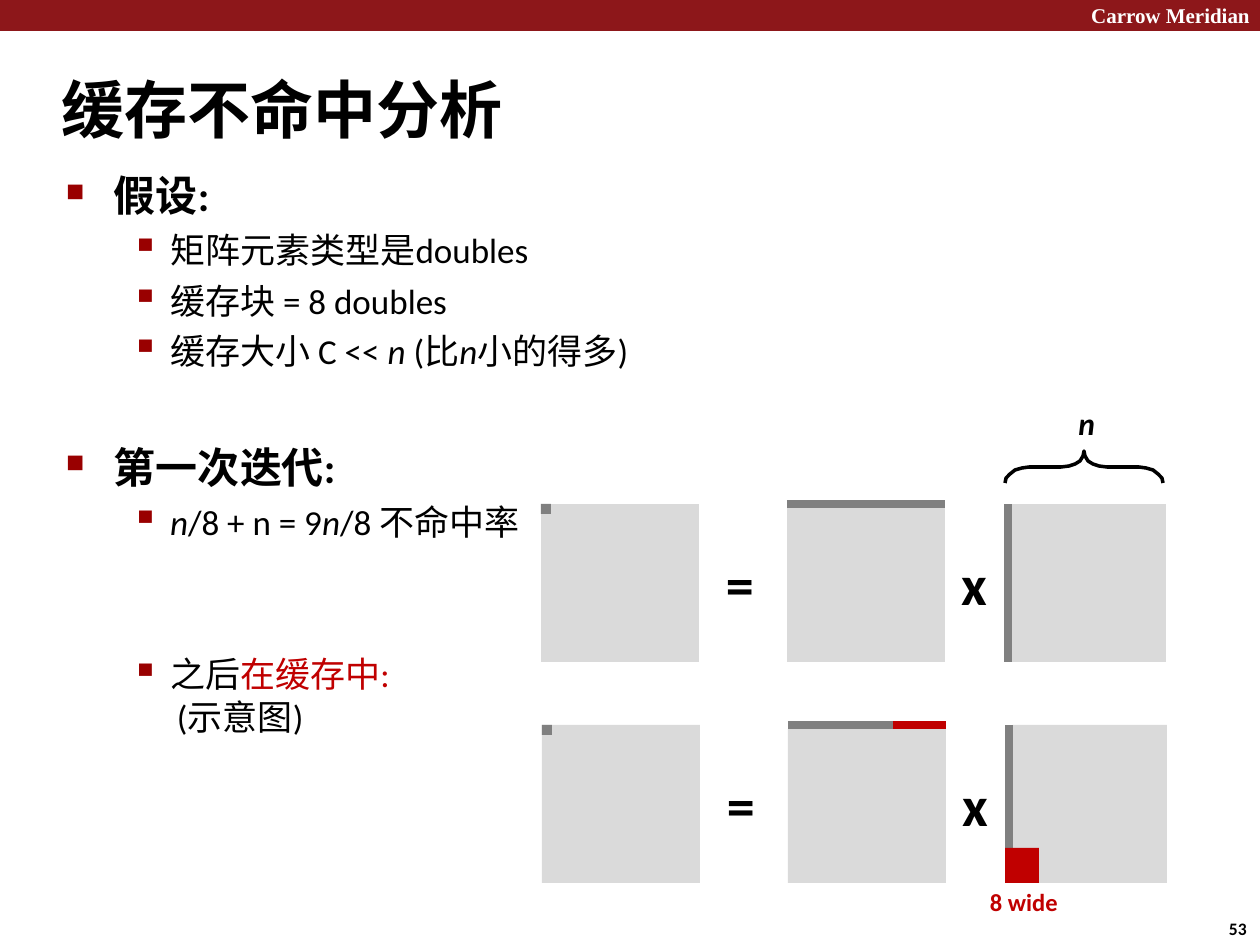
import pptx
import pptx.dml.color
import pptx.enum.shapes
import pptx.enum.text
import pptx.oxml.ns
import pptx.util
from lxml import etree

PX_PER_INCH = 126
COLORS = {"band": "8D171A", "white": "FFFFFF", "ink": "000000", "bullet": "990000",
          "matrix": "DADADA", "used": "808080", "cached": "C00000"}
ALIGN = pptx.enum.text.PP_ALIGN
SHAPES = pptx.enum.shapes


def px(length):
    return pptx.util.Emu(round(length * pptx.util.Inches(1) / PX_PER_INCH))


def rgb(name):
    return pptx.dml.color.RGBColor.from_string(COLORS[name])


def add_rect(slide, left, top, width, height, color):
    rect = slide.shapes.add_shape(SHAPES.MSO_SHAPE.RECTANGLE,
                                  px(left), px(top), px(width), px(height))
    rect.shadow.inherit = False
    rect.fill.solid()
    rect.fill.fore_color.rgb = rgb(color)
    rect.line.fill.background()


def add_strip(slide, start, end, color):
    strip = slide.shapes.add_connector(SHAPES.MSO_CONNECTOR.STRAIGHT,
                                       *map(px, start + end))
    strip.line.color.rgb = rgb(color)
    strip.line.width = pptx.util.Pt(4.5)
    etree.SubElement(strip._element.spPr, pptx.oxml.ns.qn("a:effectLst"))


def add_frame(slide, left, top, width, height):
    frame = slide.shapes.add_textbox(px(left), px(top), px(width), px(height)).text_frame
    frame.word_wrap = True
    frame.margin_left = frame.margin_right = frame.margin_top = frame.margin_bottom = 0
    return frame


def style(paragraph, size, bold=False, color="ink", font="Calibri"):
    paragraph.font.name = font
    paragraph.font.size = pptx.util.Pt(size)
    paragraph.font.bold = bold
    paragraph.font.color.rgb = rgb(color)


def add_label(slide, box, text, size, color="ink", font="Calibri", align=ALIGN.LEFT):
    paragraph = add_frame(slide, *box).paragraphs[0]
    paragraph.text = text
    paragraph.alignment = align
    style(paragraph, size, True, color, font)


def next_paragraph(frame):
    first = frame.paragraphs[0]
    return frame.add_paragraph() if first.runs else first


def set_indent(paragraph, margin, hang=0):
    properties = paragraph._p.get_or_add_pPr()
    properties.set("marL", str(px(margin)))
    properties.set("indent", str(-px(hang)))


def set_bullet(paragraph, char, percent):
    properties = paragraph._p.get_or_add_pPr()
    color = etree.SubElement(properties, pptx.oxml.ns.qn("a:buClr"))
    etree.SubElement(color, pptx.oxml.ns.qn("a:srgbClr"), val=COLORS["bullet"])
    etree.SubElement(properties, pptx.oxml.ns.qn("a:buSzPct"), val=str(percent * 1000))
    etree.SubElement(properties, pptx.oxml.ns.qn("a:buChar"), char=char)


def add_heading(frame, text, line_height=None):
    heading = next_paragraph(frame)
    heading.add_run().text = text
    if line_height:
        heading.line_spacing = pptx.util.Pt(line_height)
    set_indent(heading, 49, 48)
    set_bullet(heading, "■", 60)
    style(heading, 24, True)


def add_item(frame, parts, margin=105, space=4.8):
    """Bulleted item; parts equal to "n" are set in italics."""
    item = next_paragraph(frame)
    item.space_before = pptx.util.Pt(space)
    for part in parts:
        run = item.add_run()
        run.text = part
        if part.strip() == "n":
            run.font.italic = True
    set_indent(item, margin, 39)
    set_bullet(item, "▪", 110)
    style(item, 20)
    return item


def add_header(slide, width, height):
    add_rect(slide, 0, 0, width, height, "band")
    add_label(slide, (width - 170, 3, 160, 28), "Carrow Meridian", 12,
              "white", "Times New Roman", ALIGN.RIGHT)


def add_outline(slide, left, top, width, height):
    frame = add_frame(slide, left, top, width, height)
    add_heading(frame, "假设:")
    add_item(frame, ["矩阵元素类型是doubles"])
    add_item(frame, ["缓存块 = 8 doubles"])
    add_item(frame, ["缓存大小 C << ", "n ", "(比", "n", "小的得多)"])

    # Size label above the brace
    size_label = frame.add_paragraph()
    size_label.text = "n"
    size_label.alignment = ALIGN.RIGHT
    size_label.line_spacing = pptx.util.Pt(21.6)
    size_label.space_before = pptx.util.Pt(18.5)
    style(size_label, 18, True)
    size_label.font.italic = True

    add_heading(frame, "第一次迭代:", 28.8)
    add_item(frame, ["n", "/8 + n = 9", "n", "/8 不命中率"])


def add_cache_note(slide, left, top, width, height):
    frame = add_frame(slide, left, top, width, height)
    after = add_item(frame, ["之后", "在缓存中:"], margin=42, space=0)
    after.runs[1].font.color.rgb = rgb("cached")
    schematic = frame.add_paragraph()
    schematic.text = "(示意图)"
    set_indent(schematic, 49)
    style(schematic, 20)


def add_product(slide, left, top, side=158, cached=False):
    """Matrix product C = A x B, with the row and column in use marked."""
    a_left, b_left, half = left + 246, left + 467, 4
    # Result matrix and its first element
    add_rect(slide, left, top, side, side, "matrix")
    add_rect(slide, left, top, 10, 10, "used")
    add_label(slide, (left + 185, top + 46, 32, 72), "=", 32)
    # Row of A
    add_rect(slide, a_left, top + half, side, side - half, "matrix")
    add_strip(slide, (a_left, top), (a_left + side, top), "used")
    add_label(slide, (left + 420, top + 46, 29, 72), "x", 32)
    # Column of B
    add_rect(slide, b_left + half, top, side - half, side, "matrix")
    add_strip(slide, (b_left, top), (b_left, top + side), "used")
    # Parts left in the cache
    if cached:
        add_strip(slide, (a_left + 105, top), (a_left + side, top), "cached")
        add_rect(slide, b_left - half, top + 123, 34, 35, "cached")
        add_label(slide, (b_left - 19, top + 162, 76, 33), "8 wide", 14, "cached")


def add_brace(slide, center, top):
    right_half = [(0, 0), (1, 5), (4, 10), (9, 13), (15, 15), (23, 16), (55, 16),
                  (62, 17), (69, 19), (74, 23), (78, 27), (79, 32)]
    curve = [(-x, y) for x, y in reversed(right_half)] + right_half[1:]
    points = [(px(center + x), px(top + y)) for x, y in curve]
    builder = slide.shapes.build_freeform(*points[0])
    builder.add_line_segments(points[1:], close=False)
    brace = builder.convert_to_shape()
    brace.shadow.inherit = False
    brace.fill.background()
    brace.line.color.rgb = rgb("ink")
    brace.line.width = pptx.util.Pt(2)


def main():
    deck = pptx.Presentation()
    deck.slide_width, deck.slide_height = px(1260), px(945)
    slide = deck.slides.add_slide(deck.slide_layouts[6])

    add_header(slide, 1260, 31)
    add_label(slide, (61, 71, 524, 76), "缓存不命中分析", 36)
    add_outline(slide, 65, 170, 1030, 377)
    add_cache_note(slide, 128, 653, 336, 84)
    add_product(slide, 541, 504)
    add_brace(slide, 1084, 451)
    add_product(slide, 542, 725, cached=True)
    add_label(slide, (1229, 918, 25, 21), "53", 10)

    deck.save("out.pptx")


if __name__ == "__main__":
    main()
